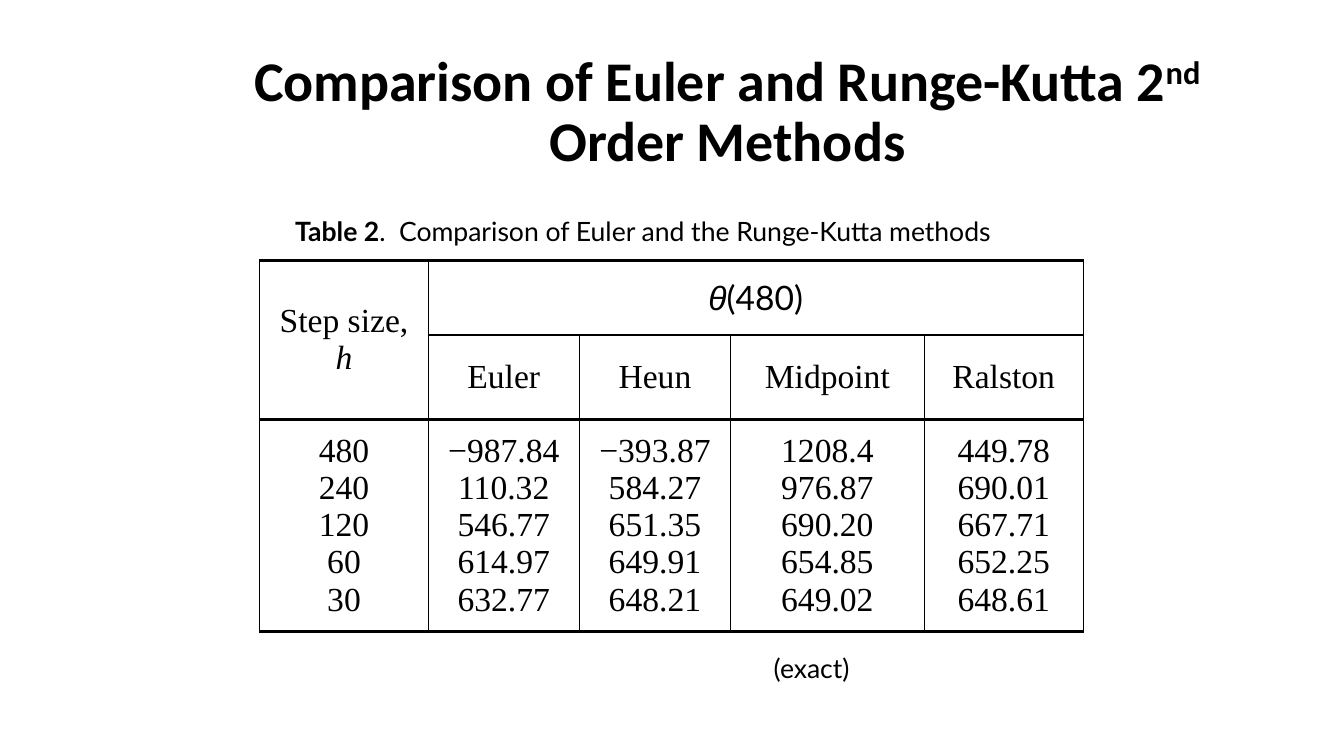
from lxml.etree import SubElement
from pptx import Presentation
from pptx.dml.color import RGBColor
from pptx.enum.text import MSO_ANCHOR, MSO_AUTO_SIZE, PP_ALIGN
from pptx.oxml.ns import qn
from pptx.util import Cm, Pt

# Content: each line is a list of (text, format) runs
SERIF = dict(font="Times New Roman", size=24)
BOLD = dict(font="Calibri", size=40, bold=True)
LABEL = dict(font="Lato", size=19)
TITLE = [("Comparison of Euler and Runge-Kutta 2", BOLD),
         ("nd", dict(BOLD, raised=30)),
         (" Order Methods", BOLD)]
CAPTION = [("Table 2", dict(LABEL, bold=True)),
           (".  Comparison of Euler and the Runge-Kutta methods", LABEL)]
STEP_HEAD = [[("Step size,", SERIF)], [("h", dict(SERIF, italic=True))]]
THETA_HEAD = [[("θ", dict(font="Arial", size=24, italic=True)),
               ("(480)", dict(font="Lato", size=24))]]
METHODS = ["Euler", "Heun", "Midpoint", "Ralston"]
RESULTS = [
    ["480", "240", "120", "60", "30"],
    ["−987.84", "110.32", "546.77", "614.97", "632.77"],
    ["−393.87", "584.27", "651.35", "649.91", "648.21"],
    ["1208.4", "976.87", "690.20", "654.85", "649.02"],
    ["449.78", "690.01", "667.71", "652.25", "648.61"],
]
COL_WIDTHS = [4.24, 3.81, 3.81, 4.88, 4.01]
ROW_HEIGHTS = [1.88, 2.13, 5.34]
RULES = [2, 1, 2, 2]  # widths of the horizontal rules, top to bottom
BLACK = "000000"


def color(hex_string):
    return RGBColor.from_string(hex_string)


def add_run(p, text, font, size, bold=False, italic=False, raised=0):
    r = p.add_run()
    r.text = text
    r.font.name, r.font.size = font, Pt(size)
    r.font.bold, r.font.italic = bold, italic
    r.font.color.rgb = color(BLACK)
    if raised:
        r.font._element.set("baseline", str(raised * 1000))


def write(tf, lines, align=PP_ALIGN.CENTER, spacing=1.0):
    for i, line in enumerate(lines):
        p = tf.add_paragraph() if i else tf.paragraphs[0]
        p.alignment, p.line_spacing = align, spacing
        for text, fmt in line:
            add_run(p, text, **fmt)


def add_label(s, box, line, anchor):
    tf = s.shapes.add_textbox(*map(Cm, box)).text_frame
    tf.word_wrap, tf.vertical_anchor = True, anchor
    write(tf, [line], PP_ALIGN.LEFT)


def set_borders(cell, top, bottom):
    tcPr = cell._tc.get_or_add_tcPr()
    widths = {"a:lnL": 0.75, "a:lnR": 0.75, "a:lnT": top, "a:lnB": bottom}
    for tag, width in widths.items():
        ln = SubElement(tcPr, qn(tag), w=str(Pt(width)))
        fill = SubElement(ln, qn("a:solidFill"))
        SubElement(fill, qn("a:srgbClr"), val=BLACK)


prs = Presentation()
prs.slide_width, prs.slide_height = Cm(33.87), Cm(19.05)
s = prs.slides.add_slide(prs.slide_layouts[5])

# Title
title = s.shapes.title
title.left, title.top, title.width, title.height = map(Cm, (5.11, 1.02, 26.44, 3.68))
tf = title.text_frame
tf.auto_size, tf.vertical_anchor = MSO_AUTO_SIZE.NONE, MSO_ANCHOR.MIDDLE
write(tf, [TITLE], spacing=0.9)

# Table grid
table = s.shapes.add_table(len(ROW_HEIGHTS), len(COL_WIDTHS), Cm(6.55), Cm(6.56),
                           Cm(sum(COL_WIDTHS)), Cm(sum(ROW_HEIGHTS))).table
table.first_row = table.horz_banding = False
for col, width in zip(table.columns, COL_WIDTHS):
    col.width = Cm(width)
for row, height in zip(table.rows, ROW_HEIGHTS):
    row.height = Cm(height)
table.cell(0, 0).merge(table.cell(1, 0))
table.cell(0, 1).merge(table.cell(0, 4))

# Table text
contents = {(0, 0): STEP_HEAD, (0, 1): THETA_HEAD}
for c, method in enumerate(METHODS, 1):
    contents[1, c] = [[(method, SERIF)]]
for c, values in enumerate(RESULTS):
    contents[2, c] = [[(value, SERIF)] for value in values]
for (r, c), lines in contents.items():
    write(table.cell(r, c).text_frame, lines)

# Cell borders, with the step-size heading spanning two rows
for r in range(len(ROW_HEIGHTS)):
    for c in range(len(COL_WIDTHS)):
        cell = table.cell(r, c)
        cell.vertical_anchor = MSO_ANCHOR.MIDDLE
        top, bottom = (0, 2) if c == 0 and r < 2 else (r, r + 1)
        set_borders(cell, RULES[top], RULES[bottom])
        cell.fill.background()

# Caption and note
add_label(s, (7.19, 5.28, 18.75, 1.07), CAPTION, MSO_ANCHOR.MIDDLE)
add_label(s, (19.25, 16.31, 2.8, 1.07), [("(exact)", LABEL)], MSO_ANCHOR.TOP)

prs.save("out.pptx")
